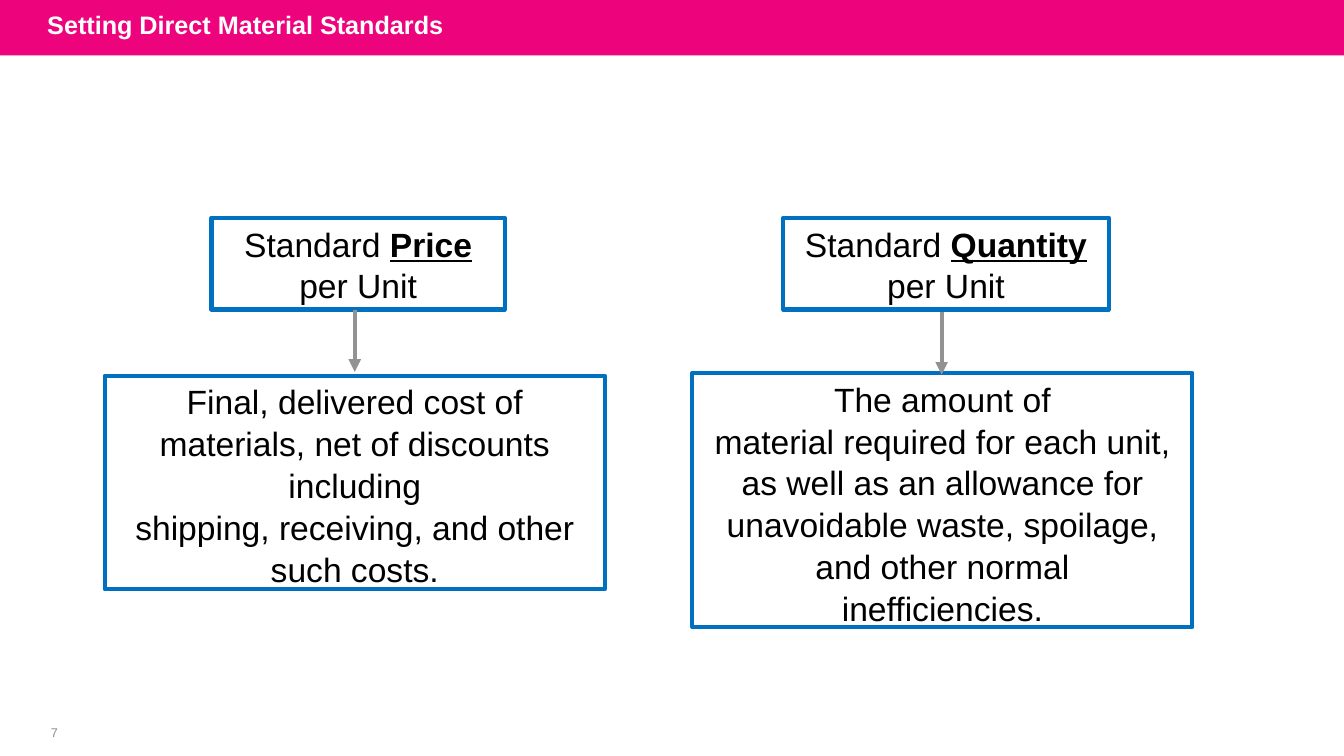
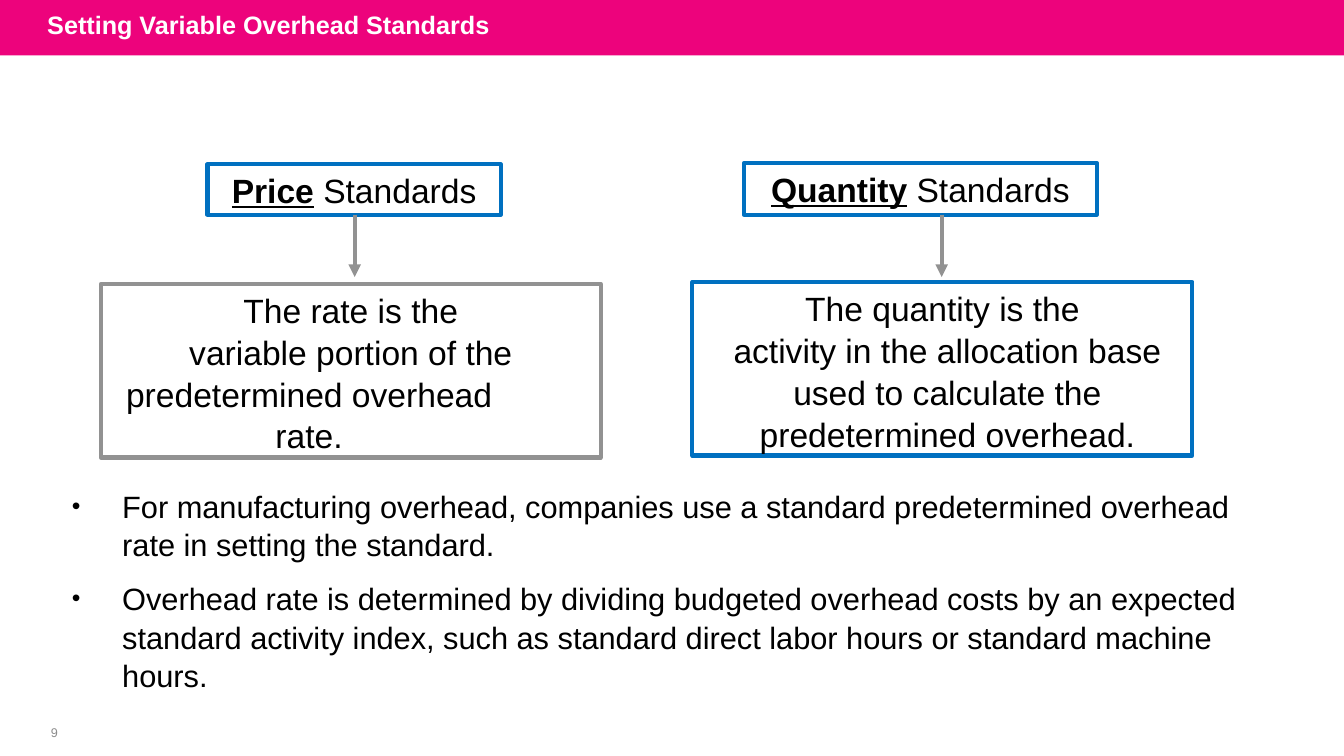
from dataclasses import dataclass

from lxml.etree import SubElement
from pptx import Presentation
from pptx.dml.color import RGBColor
from pptx.enum.shapes import MSO_CONNECTOR, MSO_SHAPE
from pptx.enum.text import MSO_ANCHOR, MSO_AUTO_SIZE, PP_ALIGN
from pptx.oxml.ns import qn
from pptx.util import Cm, Pt


@dataclass(frozen=True)
class Theme:
    font: str = "Arial"
    band: str = "ED037C"
    title: str = "FFFFFF"
    text: str = "000000"
    blue: str = "0070C0"
    grey: str = "929292"
    number: str = "8C8C8C"
    title_size: int = 18
    box_size: int = 24
    list_size: int = 22
    number_size: int = 9
    stroke: int = 3
    spacing: float = 1.04


T = Theme()

# Content: *marked* words are bold and underlined; boxes are left, top, width, height in cm.
# A paragraph is its text, left margin and right margin.
SLIDES = [
    {
        "title": "Setting Direct Material Standards",
        "number": "7",
        "columns": [
            {
                "head": "Standard *Price*\nper Unit",
                "head_at": (5.33, 5.49, 7.39, 2.31),
                "detail": [
                    ("Final, delivered cost of\nmaterials, net of discounts\nincluding", 0, 0),
                    ("shipping, receiving, and other\nsuch costs.", 0, 0),
                ],
                "detail_at": (2.64, 9.47, 12.6, 5.38),
                "color": T.blue,
                "arrow_at": (8.94, 7.8),
            },
            {
                "head": "Standard *Quantity*\nper Unit",
                "head_at": (19.74, 5.49, 8.2, 2.31),
                "detail": [
                    ("The amount of\nmaterial required for each unit,", 0, 0),
                    ("as well as an allowance for\nunavoidable waste, spoilage,\n"
                     "and other normal\ninefficiencies.", 0, 0),
                ],
                "detail_at": (17.45, 9.4, 12.6, 6.4),
                "color": T.blue,
                "arrow_at": (23.73, 7.87),
            },
        ],
        "bullets": [],
    },
    {
        "title": "Setting Variable Overhead Standards",
        "number": "9",
        "columns": [
            {
                "head": "*Price* Standards",
                "head_at": (5.23, 4.14, 7.39, 1.27),
                "detail": [
                    ("The rate is the\nvariable portion of the", 0, 0),
                    ("predetermined overhead\nrate.", 0, 2.1),
                ],
                "detail_at": (2.54, 7.16, 12.6, 4.37),
                "color": T.grey,
                "arrow_at": (8.94, 5.41),
            },
            {
                "head": "*Quantity* Standards",
                "head_at": (18.75, 4.11, 8.89, 1.3),
                "detail": [
                    ("The quantity is the", 0, 0),
                    ("activity in the allocation base\nused to calculate the\n"
                     "predetermined overhead.", 0.25, 0),
                ],
                "detail_at": (17.45, 7.11, 12.6, 4.37),
                "color": T.blue,
                "arrow_at": (23.73, 5.41),
            },
        ],
        "bullets": [
            "For manufacturing overhead, companies use a standard predetermined overhead "
            "rate in setting the standard.",
            "Overhead rate is determined by dividing budgeted overhead costs by an expected "
            "standard activity index, such as standard direct labor hours or standard machine hours.",
        ],
    },
]

# Shared places in cm
SLIDE_W, SLIDE_H = 33.87, 19.05
BAND_AT = (0, 0, SLIDE_W, 1.4)
TITLE_AT = (0.94, -0.08, 26.67, 1.4)
NUMBER_AT = (0.71, 18.14, 1.32, 0.61)
LIST_AT = (1.78, 12.24, 29.49, 5.13)
ARROW_LENGTH = 1.57
TITLE_AND_LIST, TITLE_ONLY = 1, 5


def cm(values):
    return [Cm(v) for v in values]


def place(shape, at):
    shape.left, shape.top, shape.width, shape.height = cm(at)


def frame(tf, anchor=MSO_ANCHOR.TOP, top=0):
    tf.word_wrap = True
    tf.auto_size = MSO_AUTO_SIZE.NONE
    tf.vertical_anchor = anchor
    tf.margin_left = tf.margin_right = tf.margin_bottom = 0
    tf.margin_top = Cm(top)


def write(p, text, *, size, color=T.text, bold=False, align=PP_ALIGN.CENTER,
          before=0, spacing=T.spacing, left=0, right=0, indent=0):
    """Fill a paragraph; a newline is a line break."""
    p.alignment, p.space_before, p.line_spacing = align, Pt(before), spacing
    pPr = p._p.get_or_add_pPr()
    for name, value in (("marL", left), ("marR", right), ("indent", indent)):
        pPr.set(name, str(int(Cm(value))))
    for i, part in enumerate(text.split("*")):
        marked = i % 2 == 1
        for j, line in enumerate(part.split("\n")):
            if j:
                p.add_line_break()
            if not line:
                continue
            r = p.add_run()
            r.text = line
            r.font.name, r.font.size = T.font, Pt(size)
            r.font.color.rgb = RGBColor.from_string(color)
            r.font.bold = bold or marked
            r.font.underline = marked


def paragraphs(tf, count):
    return [tf.paragraphs[0]] + [tf.add_paragraph() for _ in range(count - 1)]


def add_box(s, at, content, color):
    sp = s.shapes.add_shape(MSO_SHAPE.RECTANGLE, *cm(at))
    sp.shadow.inherit = False
    sp.fill.background()
    sp.line.color.rgb = RGBColor.from_string(color)
    sp.line.width = Pt(T.stroke)
    frame(sp.text_frame, top=0.1)
    for i, (p, (text, left, right)) in enumerate(
            zip(paragraphs(sp.text_frame, len(content)), content)):
        write(p, text, size=T.box_size, before=0 if i else 3, left=left, right=right)


def add_arrow(s, x, y):
    line = s.shapes.add_connector(MSO_CONNECTOR.STRAIGHT, *cm((x, y, x, y + ARROW_LENGTH)))
    line.line.color.rgb = RGBColor.from_string(T.grey)
    line.line.width = Pt(T.stroke)
    SubElement(line.line._get_or_add_ln(), qn("a:tailEnd"), type="triangle")
    SubElement(line._element.spPr, qn("a:effectLst"))


def add_bullets(body, bullets):
    place(body, LIST_AT)
    frame(body.text_frame)
    for i, (p, text) in enumerate(zip(paragraphs(body.text_frame, len(bullets)), bullets)):
        write(p, text, size=T.list_size, align=PP_ALIGN.LEFT,
              before=11.3 if i else 0.9, left=1.3, indent=-1.27)
        SubElement(p._p.get_or_add_pPr(), qn("a:buSzPct"), val="80000")


def set_up_template(prs, s):
    """Put the band on the master and the title place on the layouts."""
    band = s.shapes.add_shape(MSO_SHAPE.RECTANGLE, *cm(BAND_AT))
    band.shadow.inherit = False
    band.fill.solid()
    band.fill.fore_color.rgb = RGBColor.from_string(T.band)
    band.line.fill.background()
    prs.slide_master.shapes._spTree.insert(2, band._element)
    for index in (TITLE_AND_LIST, TITLE_ONLY):
        place(prs.slide_layouts[index].placeholders[0], TITLE_AT)


def add_slide(prs, content):
    layout = TITLE_AND_LIST if content["bullets"] else TITLE_ONLY
    s = prs.slides.add_slide(prs.slide_layouts[layout])
    # Title and slide number
    tf = s.shapes.title.text_frame
    frame(tf, MSO_ANCHOR.MIDDLE)
    tf.margin_left = Cm(0.25)
    write(tf.paragraphs[0], content["title"], size=T.title_size, color=T.title,
          bold=True, align=PP_ALIGN.LEFT, spacing=1.0)
    tf = s.shapes.add_textbox(*cm(NUMBER_AT)).text_frame
    frame(tf, MSO_ANCHOR.MIDDLE)
    write(tf.paragraphs[0], content["number"], size=T.number_size, color=T.number)
    # Headings, arrows and explanations
    for column in content["columns"]:
        add_box(s, column["head_at"], [(column["head"], 0, 0)], T.blue)
        add_box(s, column["detail_at"], column["detail"], column["color"])
        add_arrow(s, *column["arrow_at"])
    if content["bullets"]:
        add_bullets(s.placeholders[1], content["bullets"])
    return s


def main():
    prs = Presentation()
    prs.slide_width, prs.slide_height = cm((SLIDE_W, SLIDE_H))
    slides = [add_slide(prs, content) for content in SLIDES]
    set_up_template(prs, slides[0])
    prs.save("out.pptx")


if __name__ == "__main__":
    main()
